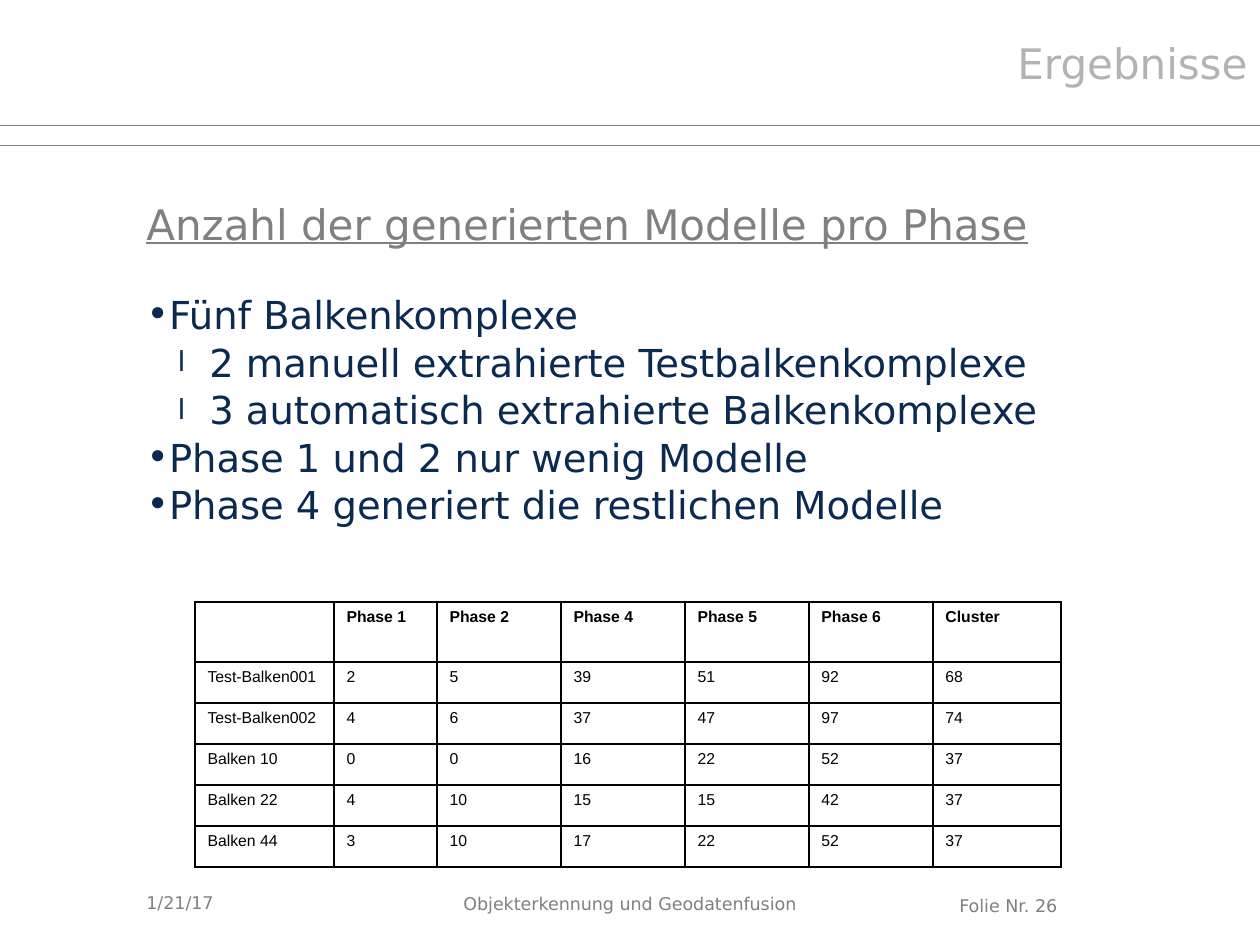
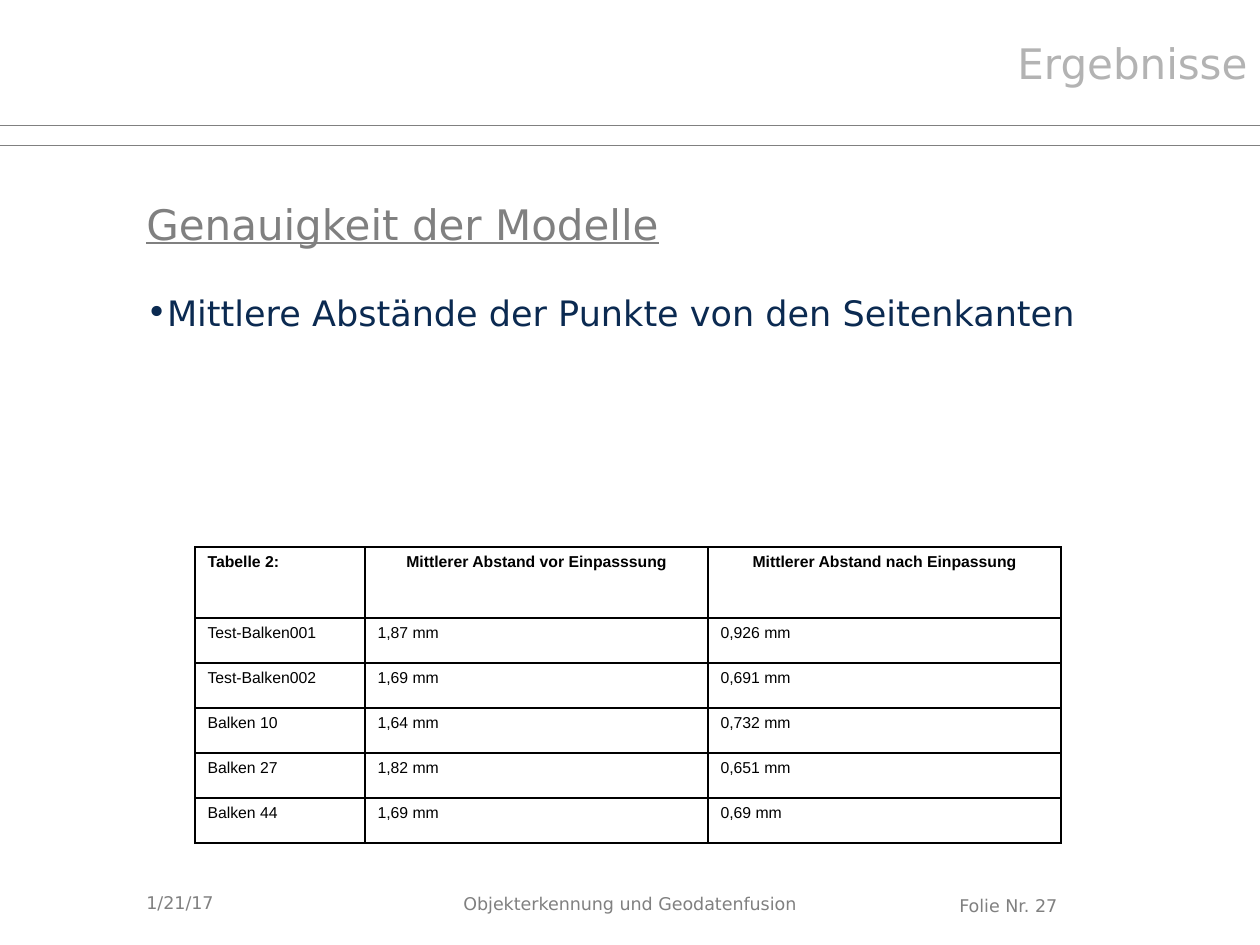
"""Build two result slides with bullets and tables on beam models."""
from lxml import etree
from pptx import Presentation
from pptx import util as u
from pptx.dml.color import RGBColor
from pptx.enum import shapes, text
from pptx.oxml import ns

GREY, PALE, NAVY, BLACK = "808080", "B3B3B3", "0B2A51", "000000"
SANS, ARIAL = "DejaVu Sans", "Arial"
LEFT, MID, RIGHT = text.PP_ALIGN.LEFT, text.PP_ALIGN.CENTER, text.PP_ALIGN.RIGHT
hue = RGBColor.from_string


def px(num):
    """Turn pixels at 126 to the inch into EMU."""
    return u.Emu(round(num * 914400 / 126))


def label(slide, box, lines, size, tint, align=LEFT, centred=False):
    """Add a text box with one paragraph per line and return its frame."""
    frame = slide.shapes.add_textbox(*map(px, box)).text_frame
    frame.word_wrap = True
    if centred:
        frame.vertical_anchor = text.MSO_ANCHOR.MIDDLE
    frame.text = "\n".join(lines)
    for para in frame.paragraphs:
        para.alignment = align
        font = para.runs[0].font
        font.name, font.size = SANS, u.Pt(size)
        font.color.rgb = hue(tint)
    return frame


pages = [
    {
        "title": "Anzahl der generierten Modelle pro Phase",
        "size": 22,
        "depth": 373,
        "points": [
            (0, "Fünf Balkenkomplexe"),
            (1, "2 manuell extrahierte Testbalkenkomplexe"),
            (1, "3 automatisch extrahierte Balkenkomplexe"),
            (0, "Phase 1 und 2 nur wenig Modelle"),
            (0, "Phase 4 generiert die restlichen Modelle"),
        ],
        "top": 602,
        "cols": [139, 103, 124, 124, 124, 124, 128],
        "rows": [60] + [41] * 5,
        "head": LEFT,
        "cells": [
            ["", "Phase 1", "Phase 2", "Phase 4", "Phase 5", "Phase 6", "Cluster"],
            ["Test-Balken001", "2", "5", "39", "51", "92", "68"],
            ["Test-Balken002", "4", "6", "37", "47", "97", "74"],
            ["Balken 10", "0", "0", "16", "22", "52", "37"],
            ["Balken 22", "4", "10", "15", "15", "42", "37"],
            ["Balken 44", "3", "10", "17", "22", "52", "37"],
        ],
    },
    {
        "title": "Genauigkeit der Modelle",
        "size": 20,
        "depth": 134,
        "points": [(0, "Mittlere Abstände der Punkte von den Seitenkanten")],
        "top": 547,
        "cols": [170, 343, 353],
        "rows": [71] + [45] * 5,
        "head": MID,
        "cells": [
            ["Tabelle 2:", "Mittlerer Abstand vor Einpasssung",
             "Mittlerer Abstand nach Einpassung"],
            ["Test-Balken001", "1,87 mm", "0,926 mm"],
            ["Test-Balken002", "1,69 mm", "0,691 mm"],
            ["Balken 10", "1,64 mm", "0,732 mm"],
            ["Balken 27", "1,82 mm", "0,651 mm"],
            ["Balken 44", "1,69 mm", "0,69 mm"],
        ],
    },
]

deck = Presentation()
deck.slide_width, deck.slide_height = px(1260), px(945)

for num, page in enumerate(pages, 26):
    slide = deck.slides.add_slide(deck.slide_layouts[6])

    for y in (125, 145):
        rule = slide.shapes.add_connector(
            shapes.MSO_CONNECTOR.STRAIGHT, 0, px(y), px(1260), px(y))
        rule.line.color.rgb = hue(GREY)
        rule.line.width = u.Pt(0.5)
        etree.SubElement(rule._element.spPr, ns.qn("a:effectLst"))

    label(slide, (451, 887, 436, 33), ["Objekterkennung und Geodatenfusion"], 10, GREY)
    label(slide, (947, 889, 238, 33), [f"Folie Nr. {num}"], 10, GREY)
    label(slide, (134, 878, 294, 50), ["1/21/17"], 10, GREY, centred=True)
    label(slide, (591, 31, 669, 63), ["Ergebnisse"], 24, PALE, RIGHT)
    title = label(slide, (134, 145, 1126, 158), [page["title"]], 24, GREY, centred=True)
    title.paragraphs[0].runs[0].font.underline = True

    points = page["points"]
    body = label(slide, (134, 244, 1029, page["depth"]),
                 [line for _, line in points], page["size"], NAVY)
    body.margin_top = px(47)
    for para, (level, _) in zip(body.paragraphs, points):
        para.level = level
        para.space_after = u.Pt(0.8)
        props = para._p.get_or_add_pPr()
        props.set("marL", str(px(63 * level)))
        props.set("indent", str(px(-31 * level)))
        if level:
            etree.SubElement(props, ns.qn("a:buSzPct"), val="75000")
        etree.SubElement(props, ns.qn("a:buFont"), typeface=ARIAL if level else SANS)
        etree.SubElement(props, ns.qn("a:buChar"), char="l" if level else "•")

    cols, rows = page["cols"], page["rows"]
    grid = slide.shapes.add_table(
        len(rows), len(cols), px(195), px(page["top"]),
        px(sum(cols)), px(sum(rows))).table
    grid.first_row = grid.horz_banding = False
    for col, wide in zip(grid.columns, cols):
        col.width = px(wide)
    for r, (row, high) in enumerate(zip(grid.rows, rows)):
        row.height = px(high)
        for c, cell in enumerate(row.cells):
            cell.text = page["cells"][r][c]
            cell.fill.background()
            para = cell.text_frame.paragraphs[0]
            para.alignment = page["head"] if r == 0 and c else LEFT
            para.font.size = u.Pt(9)
            for run in para.runs:
                run.font.name, run.font.size = ARIAL, u.Pt(9)
                run.font.bold = r == 0
                run.font.color.rgb = hue(BLACK)
            props = cell._tc.get_or_add_tcPr()
            for i, side in enumerate(("lnL", "lnR", "lnT", "lnB")):
                edge = etree.Element(ns.qn("a:" + side), w=str(u.Pt(1)))
                fill = etree.SubElement(edge, ns.qn("a:solidFill"))
                etree.SubElement(fill, ns.qn("a:srgbClr"), val=BLACK)
                props.insert(i, edge)

deck.save("out.pptx")
